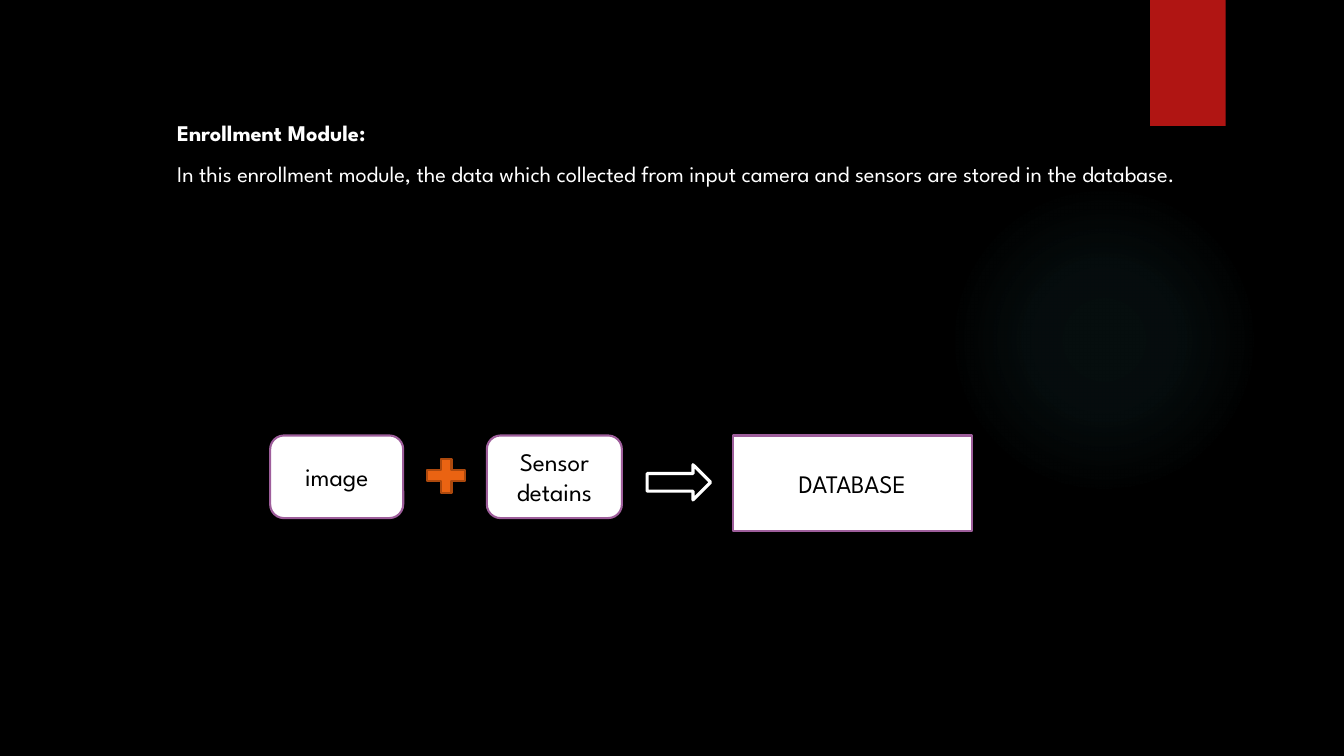
import pptx
import pptx.dml.color
import pptx.enum.shapes
import pptx.enum.text
import pptx.oxml
import pptx.oxml.ns
import pptx.util

THEME = {
    "font": "League Spartan",
    "body_size": 16,
    "label_size": 18,
    "black": "000000",
    "white": "FFFFFF",
    "ribbon": "B01513",
    "glow": "50B9C1",
    "box_edge": "9E5E9B",
    "plus": "EA6312",
    "plus_edge": "AD490D",
}
CELL = pptx.util.Inches(0.1)  # one grid column or row
COLUMNS, ROWS = 133.33, 75
KIND = pptx.enum.shapes.MSO_SHAPE


def rgb(name):
    return pptx.dml.color.RGBColor.from_string(THEME[name])


def add_block(kind, left, top, width, height, fill=None, edge=None, weight=1.5):
    """Place a preset shape on the grid; without a fill or edge name that part stays unset."""
    block = slide.shapes.add_shape(
        kind, *(round(length * CELL) for length in (left, top, width, height)))
    block.shadow.inherit = False
    if fill:
        block.fill.solid()
        block.fill.fore_color.rgb = rgb(fill)
    if edge:
        block.line.color.rgb = rgb(edge)
        block.line.width = pptx.util.Pt(weight)
    else:
        block.line.fill.background()
    return block


deck = pptx.Presentation()
deck.slide_width = round(COLUMNS * CELL)
deck.slide_height = ROWS * CELL
slide = deck.slides.add_slide(deck.slide_layouts[6])
slide.background.fill.solid()
slide.background.fill.fore_color.rgb = rgb("black")

# Backdrop: faint radial glow and the corner ribbon
glow = add_block(KIND.OVAL, 94.1, 18.3, 30.8, 30.8)
stops = "".join(
    f'<a:gs pos="{position * 1000}"><a:srgbClr val="{THEME["glow"]}">'
    f'<a:alpha val="{opacity * 1000}"/></a:srgbClr></a:gs>'
    for position, opacity in ((0, 7), (36, 6), (69, 0)))
glow_fill = pptx.oxml.parse_xml(
    f'<a:gradFill {pptx.oxml.ns.nsdecls("a")}><a:gsLst>{stops}</a:gsLst>'
    '<a:path path="circle"><a:fillToRect l="50000" t="50000" r="50000" b="50000"/></a:path>'
    '</a:gradFill>')
glow._element.spPr.insert(2, glow_fill)
add_block(KIND.RECTANGLE, 114.1, 0, 7.5, 12.5, "ribbon")

# Heading and explanation
explanation = slide.shapes.add_textbox(
    *(round(length * CELL) for length in (16.6, 11.3, 107.3, 10))).text_frame
explanation.word_wrap = True
explanation.text = (
    "Enrollment Module:\n"
    "In this enrollment module, the data which collected from input camera "
    "and sensors are stored in the database.")
for row, paragraph in enumerate(explanation.paragraphs):
    paragraph.space_before = pptx.util.Pt(10 * row)
    paragraph.font.name = THEME["font"]
    paragraph.font.size = pptx.util.Pt(THEME["body_size"])
    paragraph.font.bold = row == 0
    paragraph.font.color.rgb = rgb("white")

# Flow: image + sensor details -> database
FLOW_TOP = 43.2
for label, kind, left, width, height in (
        ("image", KIND.ROUNDED_RECTANGLE, 26.8, 13.2, 8.2),
        ("Sensor detains", KIND.ROUNDED_RECTANGLE, 48.3, 13.4, 8.2),
        ("DATABASE", KIND.RECTANGLE, 72.7, 23.7, 9.5)):
    stage = add_block(kind, left, FLOW_TOP, width, height, "white", "box_edge").text_frame
    stage.word_wrap = True
    stage.vertical_anchor = pptx.enum.text.MSO_ANCHOR.MIDDLE
    stage.text = label
    caption = stage.paragraphs[0]
    caption.alignment = pptx.enum.text.PP_ALIGN.CENTER
    caption.font.name = THEME["font"]
    caption.font.size = pptx.util.Pt(THEME["label_size"])
    caption.font.color.rgb = rgb("black")
add_block(KIND.MATH_PLUS, 41.7, 44.9, 5.1, 4.6, "plus", "plus_edge")
add_block(KIND.RIGHT_ARROW, 64.2, 46.1, 6.3, 3.5, "black", "white", 2.25)

deck.save("out.pptx")
